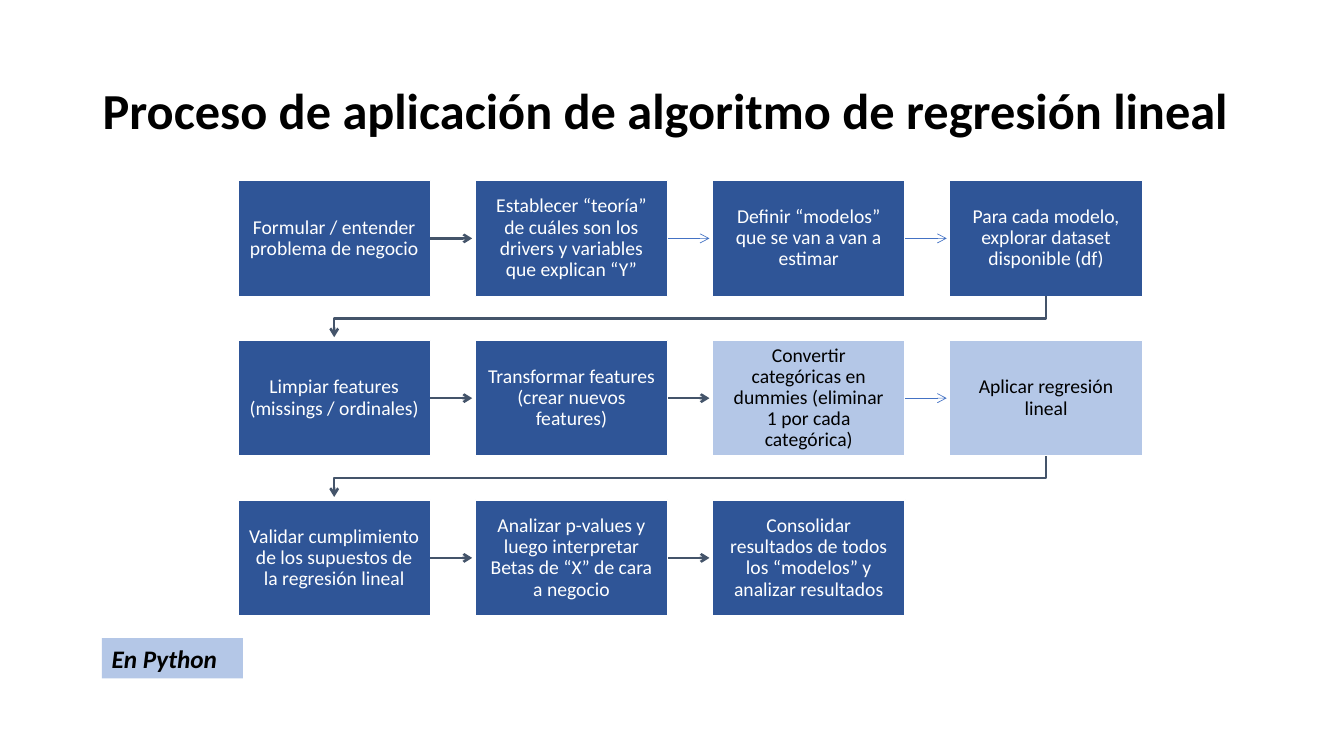
from dataclasses import dataclass

from lxml.etree import SubElement
from pptx import Presentation
from pptx.dml.color import RGBColor as Rgb
from pptx.enum.shapes import MSO_CONNECTOR as Link, MSO_SHAPE as Kind
from pptx.enum.text import MSO_ANCHOR as Anchor, PP_ALIGN as Align
from pptx.oxml.ns import qn
from pptx.util import Inches, Pt

# Grid of steps, in inches
COLS, ROWS = 4, 3
LEFT, TOP = 2.36, 1.79
WIDE, HIGH = 1.91, 1.15
STEP_X = (9.42 - LEFT) / (COLS - 1)
STEP_Y = (4.96 - TOP) / (ROWS - 1)
TIP = 0.03  # space between an arrow tip and the next box

BLUE, PALE = "2F5597", "B4C7E7"
BLACK, WHITE = "000000", "FFFFFF"
SLATE, THIN = "44546A", "4472C4"
FONT = "Calibri"


@dataclass
class Step:
    text: str
    python: bool = False  # done in Python: pale box, dark text
    pad: float = 0.11
    thin: bool = False  # thin arrow to the next step


STEPS = [
    Step("Formular / entender problema de negocio"),
    Step("Establecer “teoría” de cuáles son los drivers y variables que explican “Y”",
         thin=True),
    Step("Definir “modelos” que se van a van a estimar", thin=True),
    Step("Para cada modelo, explorar dataset disponible (df)"),
    Step("Limpiar features (missings / ordinales)"),
    Step("Transformar features (crear nuevos features)"),
    Step("Convertir categóricas en dummies (eliminar 1 por cada categórica)",
         python=True, pad=0.14, thin=True),
    Step("Aplicar regresión lineal", python=True),
    Step("Validar cumplimiento de los supuestos de la regresión lineal"),
    Step("Analizar p-values y luego interpretar Betas de “X” de cara a negocio", pad=0.14),
    Step("Consolidar resultados de todos los “modelos” y analizar resultados", pad=0.14),
]


def color(code: str) -> Rgb:
    return Rgb.from_string(code)


def write(frame, text: str, size: int, ink: str, bold: bool = False,
          slant: bool = False, align=Align.LEFT, gap: float = 1.0) -> None:
    frame.word_wrap = True
    frame.text = text
    para = frame.paragraphs[0]
    para.alignment, para.line_spacing = align, gap
    font = para.runs[0].font
    font.name, font.size = FONT, Pt(size)
    font.bold, font.italic = bold, slant
    font.color.rgb = color(ink)


def block(slide, x: float, y: float, w: float, h: float, fill: str):
    shape = slide.shapes.add_shape(Kind.RECTANGLE, *map(Inches, (x, y, w, h)))
    shape.shadow.inherit = False
    shape.fill.solid()
    shape.fill.fore_color.rgb = color(fill)
    shape.line.fill.background()
    return shape


def place(num: int) -> tuple[float, float]:
    row, col = divmod(num, COLS)
    return LEFT + col * STEP_X, TOP + row * STEP_Y


def draw_step(slide, num: int, step: Step):
    box = block(slide, *place(num), WIDE, HIGH, PALE if step.python else BLUE)
    box.line.color.rgb = color(WHITE)
    box.line.width = Pt(1)
    frame = box.text_frame
    frame.vertical_anchor = Anchor.MIDDLE
    frame.margin_left = frame.margin_right = Inches(step.pad)
    frame.margin_top = frame.margin_bottom = Inches(step.pad)
    write(frame, step.text, 14, BLACK if step.python else WHITE,
          align=Align.CENTER, gap=0.9)
    return box


def style(line, thin: bool) -> None:
    line.line.color.rgb = color(THIN if thin else SLATE)
    line.line.width = Pt(0.5 if thin else 1.75)
    props = line.element.spPr
    SubElement(props.find(qn("a:ln")), qn("a:tailEnd"), type="arrow")
    SubElement(props, qn("a:effectLst"))


def across(slide, box, num: int, thin: bool) -> None:
    x, y = place(num)
    mid = Inches(y + HIGH / 2)
    line = slide.shapes.add_connector(
        Link.STRAIGHT, Inches(x + WIDE), mid, Inches(x + STEP_X - TIP), mid)
    line.begin_connect(box, 3)
    style(line, thin)


def wrap(slide, num: int) -> None:
    x, y = place(num)
    far, near = x + WIDE / 2, LEFT + WIDE / 2
    low, tip = y + HIGH, y + STEP_Y - TIP
    turn = low + (STEP_Y - HIGH) / 2
    path = [(far, low), (far, turn), (near, turn), (near, tip)]
    pts = [(Inches(a), Inches(b)) for a, b in path]
    pen = slide.shapes.build_freeform(*pts[0])
    pen.add_line_segments(pts[1:], close=False)
    line = pen.convert_to_shape()
    line.fill.background()
    style(line, False)


def main() -> None:
    deck = Presentation()
    deck.slide_width, deck.slide_height = Inches(13.33), Inches(7.5)
    slide = deck.slides.add_slide(deck.slide_layouts[6])

    # Title
    title = slide.shapes.add_textbox(*map(Inches, (0.92, 0.4, 11.86, 1.45)))
    title.text_frame.vertical_anchor = Anchor.MIDDLE
    write(title.text_frame, "Proceso de aplicación de algoritmo de regresión lineal",
          36, BLACK, bold=True, gap=0.9)

    # Steps and the arrows between them
    boxes = [draw_step(slide, num, step) for num, step in enumerate(STEPS)]
    for num, step in enumerate(STEPS[:-1]):
        if num % COLS == COLS - 1:
            wrap(slide, num)
        else:
            across(slide, boxes[num], num, step.thin)

    # Key
    key = block(slide, 1.01, 6.33, 1.4, 0.4, PALE)
    key.text_frame.vertical_anchor = Anchor.TOP
    write(key.text_frame, "En Python", 18, BLACK, bold=True, slant=True)

    deck.save("out.pptx")


if __name__ == "__main__":
    main()
